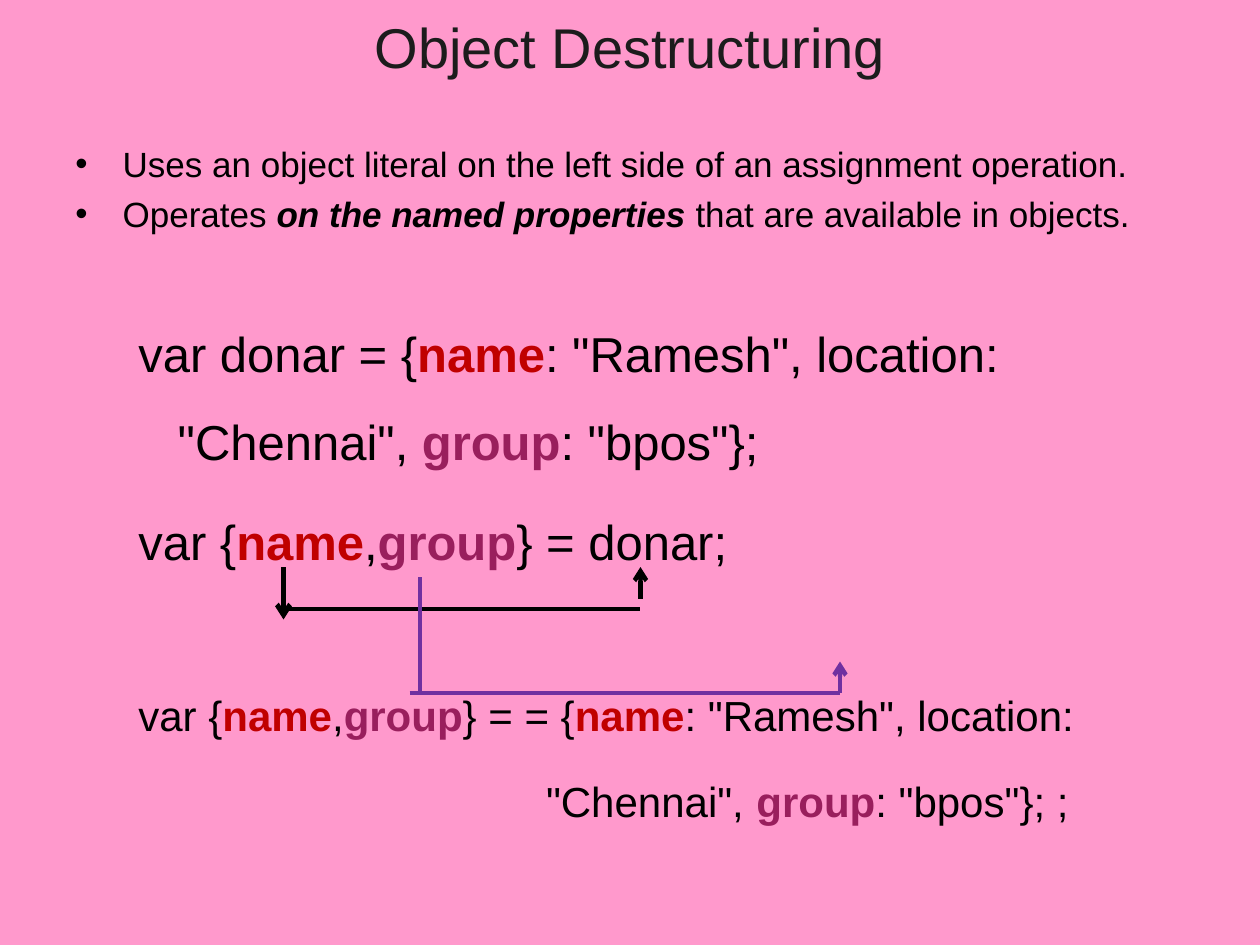
from lxml.etree import SubElement
from pptx import Presentation
from pptx.dml.color import RGBColor
from pptx.enum.shapes import MSO_CONNECTOR as Connector
from pptx.enum.text import MSO_ANCHOR as Anchor, PP_ALIGN as Align
from pptx.oxml.ns import qn
from pptx.util import Pt

FONT = "Arial"
BLACK, RED, PLUM, PURPLE = "000000", "C00000", "991F5D", "7030A0"
NAME = ("name", RED, True, False)
GROUP = ("group", PLUM, True, False)


def rgb(value):
    """Return the colour for a hex string."""
    return RGBColor.from_string(value)


def plain(text):
    """Return a black, regular run description."""
    return text, BLACK, False, False


def add_run(paragraph, text, size, color, bold=False, italic=False):
    """Append one formatted run to a paragraph."""
    run = paragraph.add_run()
    run.text = text
    font = run.font
    font.name, font.size = FONT, Pt(size)
    font.bold, font.italic = bold, italic
    font.color.rgb = rgb(color)


def set_indent(paragraph, left, hanging, bullet=None):
    """Set a hanging indent and, if given, a bullet character."""
    properties = paragraph._p.get_or_add_pPr()
    properties.set("marL", str(Pt(left)))
    properties.set("indent", str(-Pt(hanging)))
    if bullet:
        SubElement(properties, qn("a:buFont"), typeface=FONT)
        SubElement(properties, qn("a:buChar"), char=bullet)
    else:
        SubElement(properties, qn("a:buNone"))


def add_bullet(paragraph, runs, before):
    """Fill a bulleted paragraph."""
    set_indent(paragraph, 27, 27, "•")
    paragraph.space_before = Pt(before)
    for run in runs:
        add_run(paragraph, run[0], 20, *run[1:])


def add_code(paragraph, runs, size, before):
    """Fill an indented line of code."""
    paragraph.level = 1
    set_indent(paragraph, 58.5, 22.5)
    paragraph.line_spacing = 1.5
    paragraph.space_before = Pt(before)
    for run in runs:
        add_run(paragraph, run[0], size, *run[1:])


def add_title(slide, text):
    """Place and format the title."""
    title = slide.shapes.title
    title.left, title.top, title.width, title.height = Pt(36), Pt(4), Pt(648), Pt(45)
    frame = title.text_frame
    frame.vertical_anchor = Anchor.MIDDLE
    paragraph = frame.paragraphs[0]
    paragraph.alignment = Align.CENTER
    add_run(paragraph, text, 32, "1C1C1C")


def add_body(slide):
    """Add the bullets and the code example."""
    frame = slide.shapes.add_textbox(Pt(36), Pt(78), Pt(648), Pt(405)).text_frame
    frame.word_wrap = True
    bullets = [
        (0, [plain("Uses an object literal on the left side of an assignment operation.")]),
        (4.6, [plain("Operates "), ("on the named properties", BLACK, True, True),
               plain(" that are available in objects.")]),
    ]
    code = [
        (28, 34, [plain("var donar = {"), NAME, plain(': "Ramesh", location: "Chennai", '),
                  GROUP, plain(': "bpos"};')]),
        (28, 6.4, [plain("var {"), NAME, plain(","), GROUP, plain("} = donar;")]),
        (24, 54, [plain("var {"), NAME, plain(","), GROUP, plain("} = = {"), NAME,
                  plain(': "Ramesh", location:')]),
        (24, 5.5, [plain('                                   "Chennai", '), GROUP,
                   plain(': "bpos"}; ;')]),
    ]
    for index, (before, runs) in enumerate(bullets):
        paragraph = frame.add_paragraph() if index else frame.paragraphs[0]
        add_bullet(paragraph, runs, before)
    for size, before, runs in code:
        add_code(frame.add_paragraph(), runs, size, before)


def add_line(slide, start, end, color, width=2.5, arrow=False):
    """Add a straight line, with an arrowhead at its end on request."""
    line = slide.shapes.add_connector(Connector.STRAIGHT, *map(Pt, start + end))
    line.line.color.rgb = rgb(color)
    line.line.width = Pt(width)
    if arrow:
        SubElement(line.line._get_or_add_ln(), qn("a:tailEnd"), type="arrow")
    SubElement(line._element.spPr, qn("a:effectLst"))


def main():
    """Build and save the slide."""
    presentation = Presentation()
    presentation.slide_width, presentation.slide_height = Pt(720), Pt(540)
    slide = presentation.slides.add_slide(presentation.slide_layouts[5])
    fill = slide.background.fill
    fill.solid()
    fill.fore_color.rgb = rgb("FF99CC")
    add_title(slide, "Object Destructuring")
    add_body(slide)
    add_line(slide, (162, 324), (162, 354), BLACK, 2.75, arrow=True)
    add_line(slide, (162, 348), (366, 348), BLACK)
    add_line(slide, (366, 342), (366, 324), BLACK, arrow=True)
    add_line(slide, (240, 330), (240, 396), PURPLE)
    add_line(slide, (234, 396), (480, 396), PURPLE)
    add_line(slide, (480, 396), (480, 378), PURPLE, arrow=True)
    presentation.save("out.pptx")


if __name__ == "__main__":
    main()
